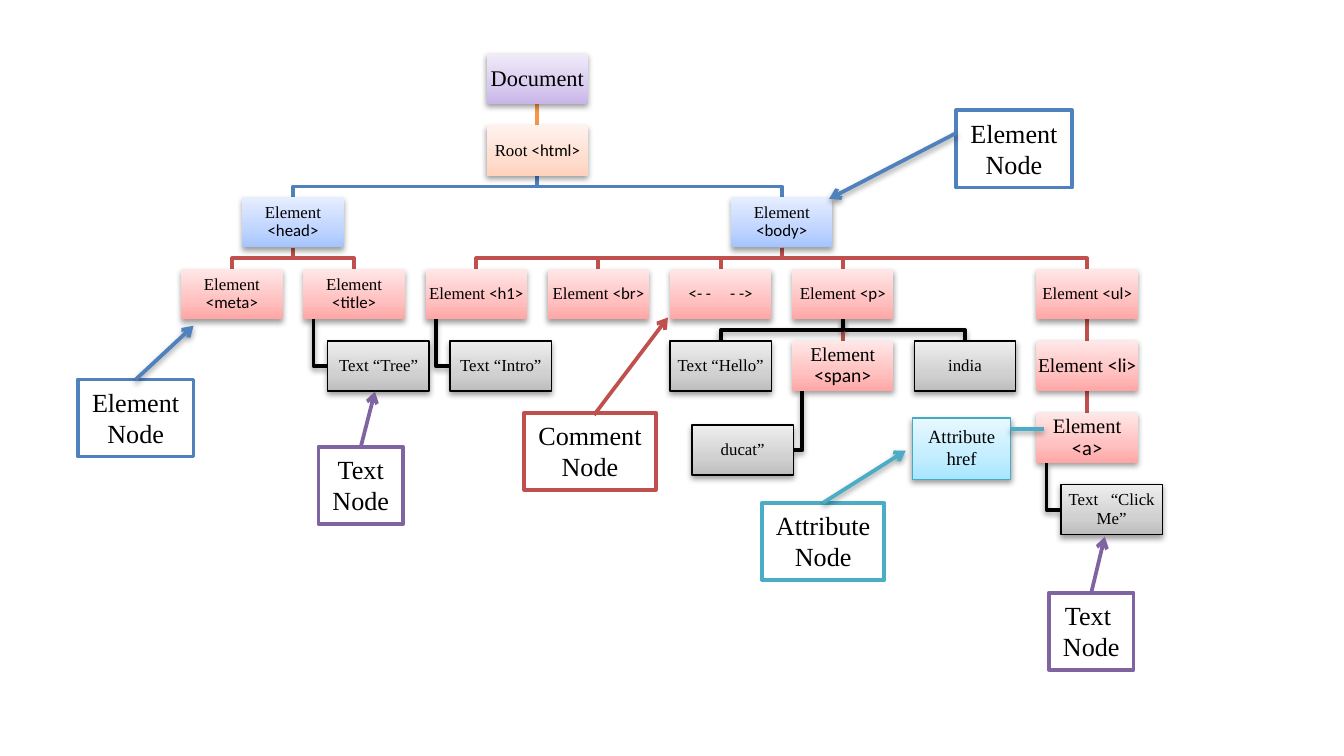
from copy import deepcopy

from lxml.etree import SubElement
from pptx import Presentation
from pptx.dml.color import RGBColor
from pptx.enum.shapes import MSO_CONNECTOR, MSO_SHAPE
from pptx.enum.text import MSO_ANCHOR, PP_ALIGN
from pptx.oxml.ns import qn
from pptx.util import Inches, Pt

SLIDE_W = Inches(10)
SLIDE_H = SLIDE_W * 9 // 16
SERIF, SANS = "Times New Roman", "Calibri"
COLORS = {
    "black": "000000", "white": "FFFFFF", "orange": "F79646", "blue": "4F81BD",
    "red": "C0504D", "teal": "4BACC6", "teal edge": "46AAC5", "purple": "8064A2",
}
GRADIENTS = {  # bottom, 35 % up, top
    "document": ("C9B5E8", "D8CBEE", "F0EAF9"),
    "root": ("FFD2BD", "FFDED0", "FFF2ED"),
    "section": ("A4C4FF", "BFD4FF", "E6EEFF"),
    "element": ("FFA6A5", "FFC0BF", "FFE7E7"),
    "text": ("BDBDBD", "D1D1D1", "EEEEEE"),
    "attribute": ("A7E6FF", "C1EDFF", "E7F8FF"),
}
LINK_COLORS = {"root": "orange", "section": "blue", "element": "red", "text": "black"}

# key: (parent, kind, column, row, serif words, sans words, size), depth first
NODES = {
    "document": (None, "document", 2.5, 0, "Document", "", 12),
    "html": ("document", "root", 2.5, 1, "Root ", "<html>", 9),
    "head": ("html", "section", 0.5, 2, "Element ", "<head>", 9),
    "meta": ("head", "element", 0, 3, "Element ", "<meta>", 9),
    "title": ("head", "element", 1, 3, "Element ", "<title>", 9),
    "tree": ("title", "text", 1.2, 4, "Text “Tree”", "", 9),
    "body": ("html", "section", 4.5, 2, "Element ", "<body>", 9),
    "h1": ("body", "element", 2, 3, "Element ", "<h1>", 9),
    "intro": ("h1", "text", 2.2, 4, "Text “Intro”", "", 9),
    "br": ("body", "element", 3, 3, "Element ", "<br>", 9),
    "comment": ("body", "element", 4, 3, "", "<- -     - ->", 9),
    "p": ("body", "element", 5, 3, "Element ", "<p>", 9),
    "hello": ("p", "text", 4, 4, "Text “Hello”", "", 9),
    "span": ("p", "element", 5, 4, "Element ", "<span>", 10.5),
    "ducat": ("span", "text", 4.18, 5.17, "ducat”", "", 9),
    "india": ("p", "text", 6, 4, "india", "", 9),
    "ul": ("body", "element", 7, 3, "Element ", "<ul>", 9),
    "li": ("ul", "element", 7, 4, "Element ", "<li>", 10.5),
    "a": ("li", "element", 7, 5, "Element ", "<a>", 11),
    "click": ("a", "text", 7.2, 6, "Text   “Click Me”", "", 9),
}
COLUMNS, ROWS = 8.03, 6.7  # the last column and row hold a node without its gap
NODE_W, NODE_H = 0.83, 0.7  # shares of a column and a row

# lines, box in percent of the slide, colour, arrow start (None: top middle), tip, shadow
CALLOUTS = [
    (("Element", "Node"), (71.15, 14.6, 8.6, 10.2), "blue", (71.15, 17.6), (61.7, 26.3), True),
    (("Text ", "Node"), (78.05, 78.4, 6.3, 10.2), "purple", None, (82.2, 71), False),
    (("Element", "Node"), (5.8, 50.2, 8.6, 10.2), "blue", None, (14.4, 43.1), True),
    (("Attribute", "Node"), (56.7, 66.5, 9.1, 10.2), "teal", None, (67.4, 59.6), True),
    (("Text", "Node"), (23.7, 59.1, 6.3, 10.2), "purple", None, (27.9, 51.8), False),
    (("Comment", "Node"), (39, 54.6, 9.8, 10.2), "red", (44.2, 54.9), (49.7, 42), False),
]


def color(name):
    return RGBColor.from_string(COLORS[name])


def percent(*lengths):
    """Turn alternating x and y percentages of the slide into EMU."""
    return [int(n * (SLIDE_W, SLIDE_H)[i % 2] / 100) for i, n in enumerate(lengths)]


def set_line(shape, name, width=2):
    shape.line.color.rgb = color(name)
    shape.line.width = Pt(width)


def set_shadow(shape, cast):
    """Replace the theme's effect; call after fill and line are set."""
    effects = SubElement(shape._element.spPr, qn("a:effectLst"))
    if cast:
        outer = SubElement(effects, qn("a:outerShdw"), blurRad="40000", dist="20000",
                           dir="5400000", rotWithShape="0")
        black = SubElement(outer, qn("a:srgbClr"), val=COLORS["black"])
        SubElement(black, qn("a:alpha"), val="38000")


def fill_gradient(shape, kind):
    shape.fill.gradient()
    shape.fill.gradient_angle = 90
    stops = shape._element.spPr.find(".//" + qn("a:gsLst"))
    stops.insert(1, deepcopy(stops[0]))
    for stop, position, rgb in zip(shape.fill.gradient_stops, (0, 0.35, 1), GRADIENTS[kind]):
        stop.position = position
        stop.color.rgb = RGBColor.from_string(rgb)


def style_run(run, font, size):
    run.font.name, run.font.size = font, Pt(size)
    run.font.color.rgb = color("black")


def write_lines(shape, lines, size):
    frame = shape.text_frame
    frame.text = "\n".join(lines)
    frame.word_wrap = False
    frame.vertical_anchor = MSO_ANCHOR.TOP
    for paragraph in frame.paragraphs:
        paragraph.alignment = PP_ALIGN.CENTER
        style_run(paragraph.runs[0], SERIF, size)


def add_node(slide, box, kind, serif_words, sans_words, size):
    node = slide.shapes.add_shape(MSO_SHAPE.RECTANGLE, *box)
    fill_gradient(node, kind)
    if kind == "text":
        set_line(node, "black", 0.75)
    else:
        node.line.fill.background()
    set_shadow(node, True)
    frame = node.text_frame
    frame.word_wrap = True
    frame.vertical_anchor = MSO_ANCHOR.MIDDLE
    frame.margin_left = frame.margin_right = Inches(0.01)
    frame.margin_top = frame.margin_bottom = Inches(0.01)
    label = frame.paragraphs[0]
    label.alignment, label.line_spacing = PP_ALIGN.CENTER, 0.9
    for words, font in ((serif_words, SERIF), (sans_words, SANS)):
        if words:
            run = label.add_run()
            run.text = words
            style_run(run, font, size)
    return node


def add_polyline(slide, start, *points):
    builder = slide.shapes.build_freeform(*start)
    builder.add_line_segments(points, close=False)
    line = builder.convert_to_shape()
    line.fill.background()
    return line


def add_link(slide, parent, child, kind, column_w):
    """Join parent to child behind all nodes: straight, hanging at a side, or forked."""
    shift = child.left - parent.left
    bottom = parent.top + parent.height
    if abs(shift) < column_w / 100:
        link = slide.shapes.add_connector(MSO_CONNECTOR.STRAIGHT, 0, 0, 0, 0)
        link.begin_connect(parent, 2)
        link.end_connect(child, 0)
    elif kind == "text" and abs(shift) < 0.9 * column_w:
        x = parent.left + parent.width // 10
        y = child.top + child.height // 2
        side = child.left if shift > 0 else child.left + child.width
        link = add_polyline(slide, (x, bottom), (x, y), (side, y))
    else:
        x, end_x = (node.left + node.width // 2 for node in (parent, child))
        fork = (bottom + child.top) // 2
        link = add_polyline(slide, (x, bottom), (x, fork), (end_x, fork), (end_x, child.top))
    set_line(link, LINK_COLORS[kind])
    set_shadow(link, kind == "text")
    slide.shapes._spTree.insert(2, link._element)


def add_tree(slide, left, top, width, height):
    column_w, row_h = width / COLUMNS, height / ROWS
    placed = {}
    for key, (parent, kind, column, row, *label) in NODES.items():
        box = (left + column * column_w, top + row * row_h, NODE_W * column_w, NODE_H * row_h)
        placed[key] = add_node(slide, [int(n) for n in box], kind, *label)
        if parent:
            add_link(slide, placed[parent], placed[key], kind, column_w)


def add_attribute(slide, left, top, width, height):
    attribute = slide.shapes.add_shape(MSO_SHAPE.RECTANGLE, left, top, width, height)
    fill_gradient(attribute, "attribute")
    set_line(attribute, "teal edge", 0.75)
    set_shadow(attribute, True)
    write_lines(attribute, ("Attribute", "href"), 10)
    right, y = left + width, top + int(0.18 * height)
    link = slide.shapes.add_connector(
        MSO_CONNECTOR.STRAIGHT, right + int(0.34 * width), y, right, y)
    set_line(link, "teal")
    set_shadow(link, True)


def add_callout(slide, lines, box, hue, start, tip, cast):
    callout = slide.shapes.add_shape(MSO_SHAPE.RECTANGLE, *percent(*box))
    callout.fill.solid()
    callout.fill.fore_color.rgb = color("white")
    set_line(callout, hue)
    set_shadow(callout, False)
    write_lines(callout, lines, 14)
    arrow = slide.shapes.add_connector(MSO_CONNECTOR.STRAIGHT, *percent(*(start or tip), *tip))
    if not start:
        arrow.begin_connect(callout, 0)
    set_line(arrow, hue)
    SubElement(arrow._element.spPr.find(qn("a:ln")), qn("a:tailEnd"), type="arrow")
    set_shadow(arrow, cast)


def main():
    deck = Presentation()
    deck.slide_width, deck.slide_height = SLIDE_W, SLIDE_H
    slide = deck.slides.add_slide(deck.slide_layouts[6])
    add_tree(slide, *percent(13.48, 7.1, 73, 63.65))
    add_attribute(slide, *percent(67.9, 55.3, 7.3, 8.1))
    for callout in CALLOUTS:
        add_callout(slide, *callout)
    deck.save("out.pptx")


if __name__ == "__main__":
    main()
